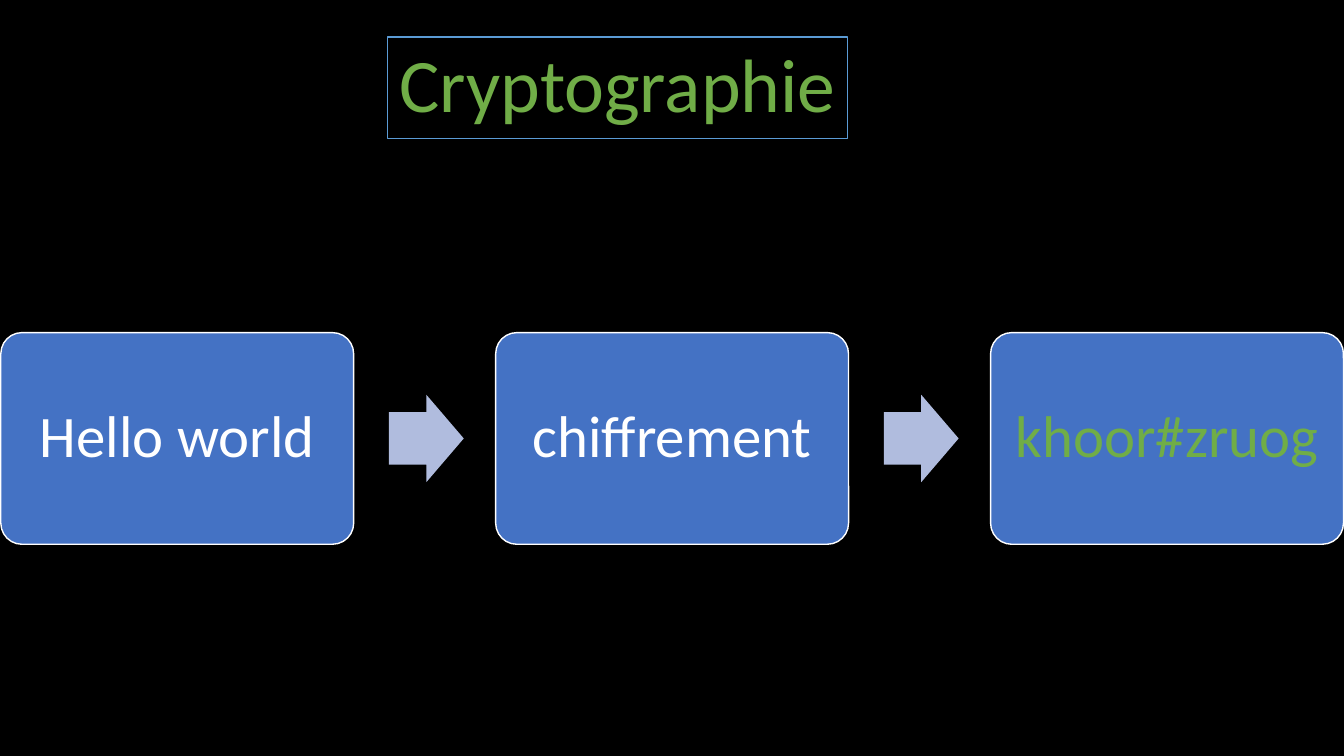
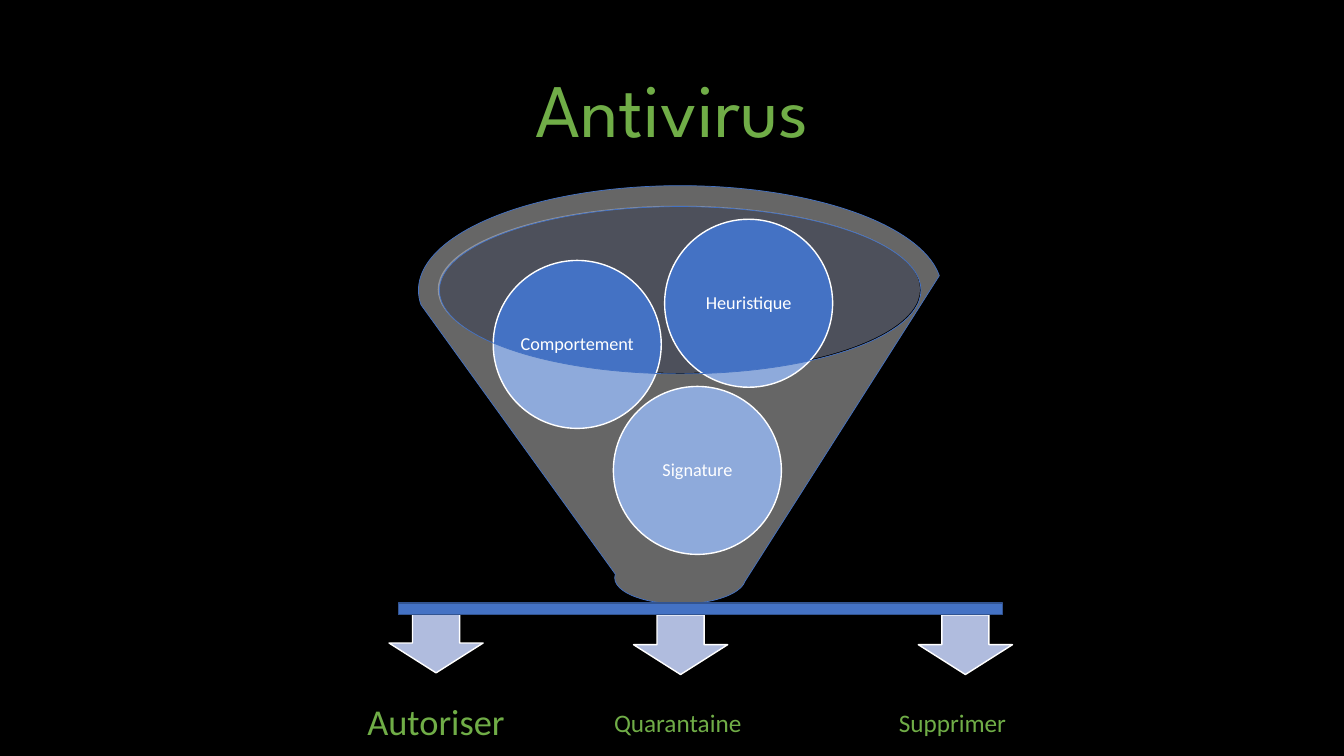
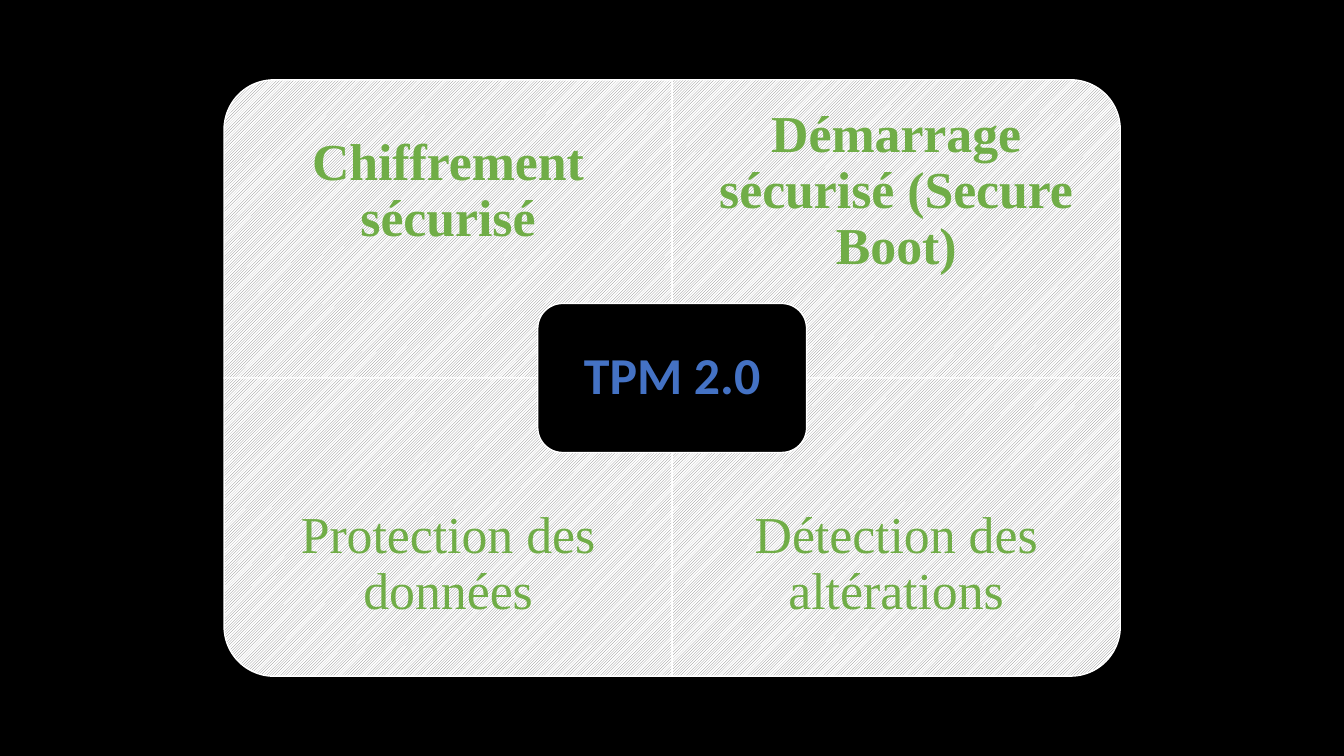
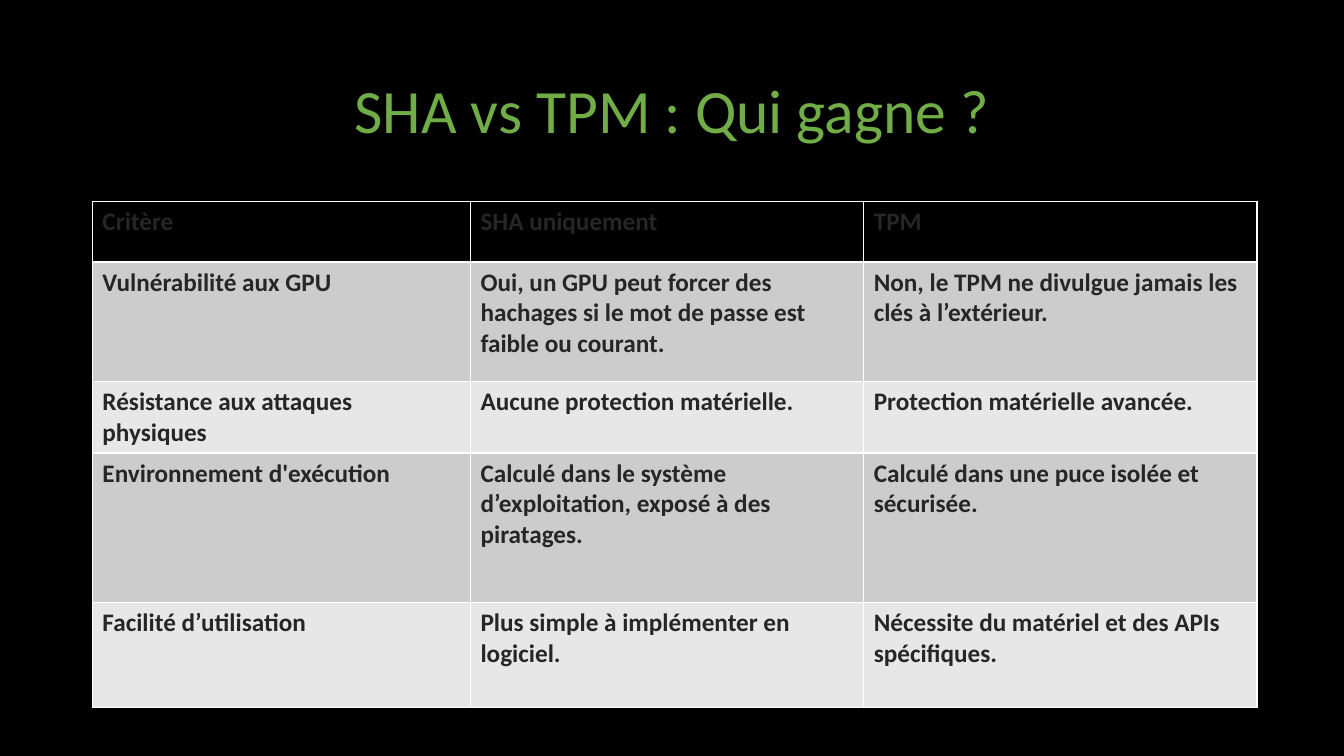
from lxml import etree
from pptx import Presentation, util as u
from pptx.dml.color import RGBColor
from pptx.enum import dml, shapes, text
from pptx.oxml.ns import qn

BLACK = RGBColor(0x00, 0x00, 0x00)
WHITE = RGBColor(0xFF, 0xFF, 0xFF)
GREEN = RGBColor(0x70, 0xAD, 0x47)
BLUE = RGBColor(0x44, 0x72, 0xC4)
DARK_BLUE = RGBColor(0x32, 0x54, 0x91)
SKY_BLUE = RGBColor(0x5B, 0x9B, 0xD5)
ARROW_BLUE = RGBColor(0xB0, 0xBC, 0xDE)
PALE_BLUE = RGBColor(0xC1, 0xC9, 0xE4)
GREY = RGBColor(0x80, 0x80, 0x80)
INK = RGBColor(0x26, 0x26, 0x26)
ROW_DARK = RGBColor(0xCC, 0xCC, 0xCC)
ROW_LIGHT = RGBColor(0xE7, 0xE7, 0xE7)
SHAPE = shapes.MSO_SHAPE
CENTER = text.PP_ALIGN.CENTER

# The slide is a grid of 160 columns by 90 rows of square cells.
COLUMNS, ROWS = 160, 90
prs = Presentation()
prs.slide_width, prs.slide_height = u.Inches(13.33), u.Inches(7.5)
CELL = prs.slide_height / ROWS
background = prs.slide_master.background.fill
background.solid()
background.fore_color.rgb = BLACK
title_layout, blank_layout = prs.slide_layouts[5], prs.slide_layouts[6]
layout_title = title_layout.placeholders[0]
layout_title.left, layout_title.top, layout_title.width, layout_title.height = (
    int(n * CELL) for n in (11, 4.8, 138, 17.4))


def write(frame, words, size, color=GREEN, font="Calibri", bold=False,
          align=CENTER, inset=0.1):
    """Fill a text frame with one vertically centred paragraph; inset is in inches."""
    frame.word_wrap = True
    frame.vertical_anchor = text.MSO_ANCHOR.MIDDLE
    frame.margin_left = frame.margin_right = u.Inches(inset)
    frame.margin_top = frame.margin_bottom = u.Inches(min(inset, 0.29))
    paragraph = frame.paragraphs[0]
    paragraph.text = words
    paragraph.alignment = align
    paragraph.line_spacing = 0.9
    paragraph.font.size = u.Pt(size)
    paragraph.font.name = font
    paragraph.font.bold = bold
    paragraph.font.color.rgb = color


def draw(slide, preset, place, fill, line=None, weight=1, alpha=None):
    """Add a flat preset shape; place is left, top, width, height in grid cells."""
    shape = slide.shapes.add_shape(preset, *(int(n * CELL) for n in place))
    shape.shadow.inherit = False
    shape.fill.solid()
    shape.fill.fore_color.rgb = fill
    if alpha:
        color = shape.fill._xPr.find(qn("a:solidFill"))[0]
        etree.SubElement(color, qn("a:alpha"), val=str(alpha * 1000))
    if line is None:
        shape.line.fill.background()
    else:
        shape.line.color.rgb = line
        shape.line.width = u.Pt(weight)
    return shape


# Slide 1: encryption steps
crypto = prs.slides.add_slide(title_layout)
heading = crypto.shapes.title
heading.left, heading.top, heading.width, heading.height = (
    int(n * CELL) for n in (46.1, 4.4, 54.8, 12.1))
heading.line.color.rgb = SKY_BLUE
heading.line.width = u.Pt(1)
write(heading.text_frame, "Cryptographie", 54)
heading.text_frame.word_wrap = False
heading.text_frame.auto_size = text.MSO_AUTO_SIZE.NONE

STEP_PITCH = 58.9
steps = [("Hello world", WHITE), ("chiffrement", WHITE), ("khoor#zruog", GREEN)]
for i, (words, color) in enumerate(steps):
    left = 0.1 + i * STEP_PITCH
    step = draw(crypto, SHAPE.ROUNDED_RECTANGLE, (left, 39.6, 42, 25.2), BLUE, WHITE)
    step.adjustments[0] = 0.1
    write(step.text_frame, words, 42, color, inset=0.17)
    if i < len(steps) - 1:
        arrow = draw(crypto, SHAPE.RIGHT_ARROW, (left + 46.2, 47, 8.9, 10.4), ARROW_BLUE)
        arrow.adjustments[0] = 0.6

# Slide 2: antivirus funnel
antivirus = prs.slides.add_slide(title_layout)
write(antivirus.shapes.title.text_frame, "Antivirus", 54, font="League Spartan")
draw(antivirus, SHAPE.OVAL, (52.1, 24.5, 57.4, 19.9), PALE_BLUE, alpha=40)
for method, left, top in [("Signature", 73, 46), ("Comportement", 58.7, 31),
                          ("Heuristique", 79.1, 26.1)]:
    ball = draw(antivirus, SHAPE.OVAL, (left, top, 20, 20), BLUE, WHITE)
    write(ball.text_frame, method, 13, WHITE, inset=0.02)
draw(antivirus, SHAPE.FUNNEL, (49.8, 22.1, 62.3, 49.8), WHITE, BLUE, 0.5, alpha=40)
for left, top in [(46.3, 73), (75.4, 73.2), (109.3, 73.2)]:
    draw(antivirus, SHAPE.DOWN_ARROW, (left, top, 11.2, 7.1), ARROW_BLUE, WHITE)
draw(antivirus, SHAPE.RECTANGLE, (47.4, 71.8, 71.9, 1.4), BLUE, DARK_BLUE)
for verdict, left, width, size, align in [
        ("Autoriser", 38.8, 26.2, 26, CENTER),
        ("Quarantaine", 71.9, 18, 18, text.PP_ALIGN.LEFT),
        ("Supprimer", 105.8, 18, 18, text.PP_ALIGN.LEFT)]:
    label = antivirus.shapes.add_textbox(
        *(int(n * CELL) for n in (left, 83, width, 6.4)))
    write(label.text_frame, verdict, size, align=align)

# Slide 3: four quadrants around the TPM
tpm = prs.slides.add_slide(blank_layout)
QUAD_W, QUAD_H = COLUMNS / 3, 35.5
MID_X, MID_Y = COLUMNS / 2, ROWS / 2
quadrants = [("Chiffrement sécurisé", 270, True),
             ("Démarrage sécurisé (Secure Boot)", 0, True),
             ("Protection des données", 180, False),
             ("Détection des altérations", 90, False)]
for i, (benefit, rotation, bold) in enumerate(quadrants):
    row, column = divmod(i, 2)
    left, top = MID_X + (column - 1) * QUAD_W, MID_Y + (row - 1) * QUAD_H
    # A quarter turn swaps width and height around the same centre.
    width, height = (QUAD_H, QUAD_W) if rotation % 180 else (QUAD_W, QUAD_H)
    quadrant = draw(tpm, SHAPE.ROUND_1_RECTANGLE,
                    (left + (QUAD_W - width) / 2, top + (QUAD_H - height) / 2,
                     width, height), WHITE, WHITE)
    quadrant.rotation = rotation
    quadrant.fill.patterned()
    quadrant.fill.pattern = dml.MSO_PATTERN.DARK_UPWARD_DIAGONAL
    quadrant.fill.fore_color.rgb = GREY
    quadrant.fill.back_color.rgb = WHITE
    caption = tpm.shapes.add_textbox(
        *(int(n * CELL) for n in (left, top + row * QUAD_H / 4, QUAD_W, QUAD_H * 3 / 4)))
    write(caption.text_frame, benefit, 37, font="Times New Roman", bold=bold, inset=0.29)
hub = draw(tpm, SHAPE.ROUNDED_RECTANGLE,
           (MID_X - 16, MID_Y - QUAD_H / 4, 32, QUAD_H / 2), BLACK, WHITE)
write(hub.text_frame, "TPM 2.0", 37, BLUE, bold=True, inset=0.15)

# Slide 4: comparison table
versus = prs.slides.add_slide(title_layout)
write(versus.shapes.title.text_frame, "SHA vs TPM : Qui gagne ?", 44)
criteria = [
    ("Critère", "SHA uniquement", "TPM"),
    ("Vulnérabilité aux GPU",
     "Oui, un GPU peut forcer des hachages si le mot de passe est faible ou courant.",
     "Non, le TPM ne divulgue jamais les clés à l’extérieur."),
    ("Résistance aux attaques physiques", "Aucune protection matérielle.",
     "Protection matérielle avancée."),
    ("Environnement d'exécution",
     "Calculé dans le système d’exploitation, exposé à des piratages.",
     "Calculé dans une puce isolée et sécurisée."),
    ("Facilité d’utilisation", "Plus simple à implémenter en logiciel.",
     "Nécessite du matériel et des APIs spécifiques."),
]
column_widths = [45, 46.8, 46.8]
row_heights = [7.2, 14.2, 7.2, 17.8, 12.5]
comparison = versus.shapes.add_table(
    len(criteria), len(column_widths),
    *(int(n * CELL) for n in (11, 24, sum(column_widths), sum(row_heights)))).table
for column, width in zip(comparison.columns, column_widths):
    column.width = int(width * CELL)
for r, (values, height) in enumerate(zip(criteria, row_heights)):
    comparison.rows[r].height = int(height * CELL)
    for c, value in enumerate(values):
        cell = comparison.cell(r, c)
        cell.fill.solid()
        cell.fill.fore_color.rgb = BLACK if r == 0 else ROW_DARK if r % 2 else ROW_LIGHT
        cell.text = value
        font = cell.text_frame.paragraphs[0].font
        font.size, font.name, font.bold = u.Pt(18), "Calibri", True
        font.color.rgb = INK

prs.save("out.pptx")
